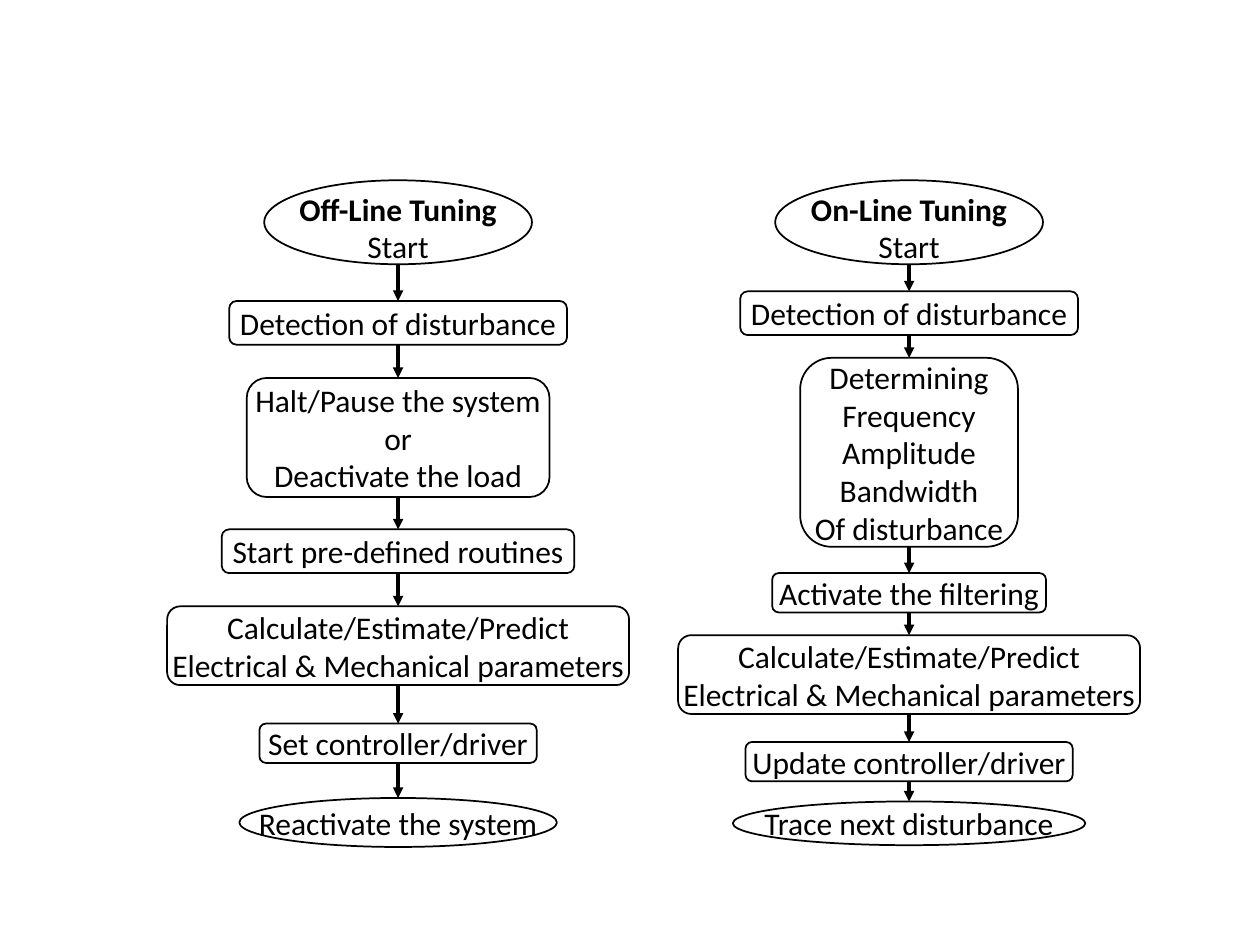
from lxml.etree import SubElement
from pptx import Presentation
from pptx.dml.color import RGBColor
from pptx.enum.shapes import MSO_CONNECTOR, MSO_SHAPE
from pptx.enum.text import MSO_ANCHOR, PP_ALIGN
from pptx.oxml.ns import qn
from pptx.util import Pt

BLACK = RGBColor(0, 0, 0)
FONT = "Calibri"
OVAL = MSO_SHAPE.OVAL
ROUND = MSO_SHAPE.ROUNDED_RECTANGLE
DETECT = ["Detection of disturbance"]
PREDICT = ["Calculate/Estimate/Predict", "Electrical & Mechanical parameters"]

# Each step: shape kind, top within the column, width, height, lines of text.
OFFLINE = [
    (OVAL, 0, 153, 48, ["Off-Line Tuning", "Start"]),
    (ROUND, 69, 193, 25, DETECT),
    (ROUND, 113, 173, 68, ["Halt/Pause the system", "or", "Deactivate the load"]),
    (ROUND, 199.5, 201.5, 25, ["Start pre-defined routines"]),
    (ROUND, 243.5, 264, 45, PREDICT),
    (ROUND, 310.5, 158.5, 22.5, ["Set controller/driver"]),
    (OVAL, 353, 181.5, 28, ["Reactivate the system"]),
]
ONLINE = [
    (OVAL, 0, 153, 48, ["On-Line Tuning", "Start"]),
    (ROUND, 63.5, 193, 25, DETECT),
    (ROUND, 101.5, 124.5, 108,
     ["Determining", "Frequency", "Amplitude", "Bandwidth", "Of disturbance"]),
    (ROUND, 224.5, 156.5, 22.5, ["Activate the filtering"]),
    (ROUND, 260, 264, 45, PREDICT),
    (ROUND, 321, 187, 22.5, ["Update controller/driver"]),
    (OVAL, 355, 201.5, 25, ["Trace next disturbance"]),
]


def add_text(shape, lines, head):
    """Write centred lines into a shape, the first one bold in a head."""
    frame = shape.text_frame
    frame.word_wrap = False
    frame.vertical_anchor = MSO_ANCHOR.MIDDLE
    frame.margin_left = frame.margin_right = frame.margin_bottom = 0
    frame.margin_top = Pt(6 if head else 0)
    for i, line in enumerate(lines):
        para = frame.paragraphs[0] if i == 0 else frame.add_paragraph()
        para.alignment = PP_ALIGN.CENTER
        run = para.add_run()
        run.text = line
        run.font.name = FONT
        run.font.size = Pt(18)
        run.font.bold = head and i == 0
        run.font.color.rgb = BLACK


def add_step(slide, kind, left, top, width, height):
    """Add one outlined step and return it."""
    shape = slide.shapes.add_shape(kind, Pt(left), Pt(top), Pt(width), Pt(height))
    shape.shadow.inherit = False
    shape.fill.background()
    shape.line.color.rgb = BLACK
    shape.line.width = Pt(1)
    return shape


def add_arrow(slide, start, end):
    """Join the bottom of one step to the top of the next."""
    arrow = slide.shapes.add_connector(MSO_CONNECTOR.STRAIGHT, 0, 0, 0, 0)
    arrow.begin_connect(start, 2)
    arrow.end_connect(end, 0)
    arrow.line.color.rgb = BLACK
    arrow.line.width = Pt(2)
    SubElement(arrow.line._get_or_add_ln(), qn("a:tailEnd"), type="triangle")
    SubElement(arrow._element.spPr, qn("a:effectLst"))


def add_flow(slide, left, top, width, steps):
    """Stack steps on the centre line of a column and link them."""
    last = None
    for kind, drop, wide, high, lines in steps:
        shape = add_step(slide, kind, left + (width - wide) / 2, top + drop, wide, high)
        add_text(shape, lines, last is None)
        if last is not None:
            add_arrow(slide, last, shape)
        last = shape


def main():
    """Build the slide with its two flow charts."""
    deck = Presentation()
    deck.slide_width, deck.slide_height = Pt(720), Pt(540)
    slide = deck.slides.add_slide(deck.slide_layouts[6])
    add_flow(slide, 95.5, 103, 264, OFFLINE)
    add_flow(slide, 387.5, 103, 264, ONLINE)
    deck.save("out.pptx")


if __name__ == "__main__":
    main()
